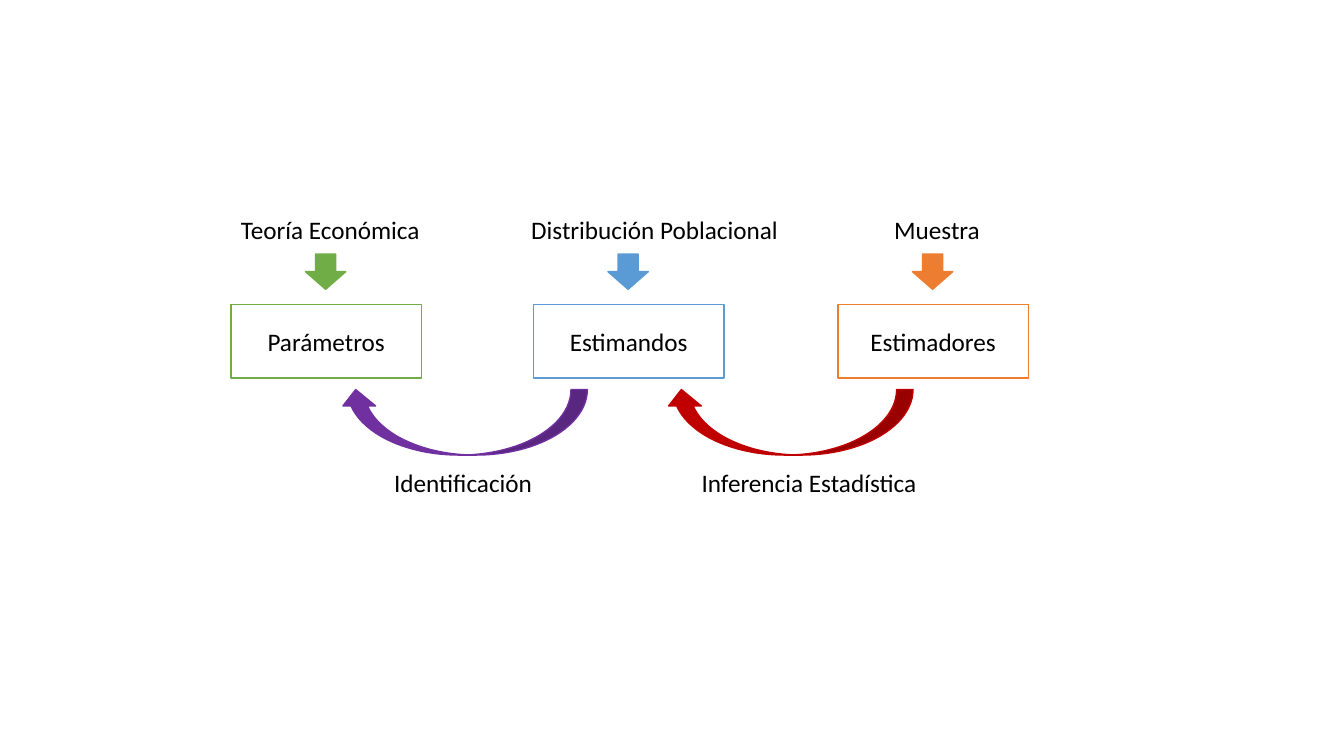
from dataclasses import dataclass

from pptx import Presentation
from pptx.dml.color import RGBColor
from pptx.enum.shapes import MSO_SHAPE
from pptx.enum.text import MSO_ANCHOR, MSO_AUTO_SIZE, PP_ALIGN
from pptx.oxml.ns import qn
from pptx.util import Pt

RECTANGLE = MSO_SHAPE.RECTANGLE
DOWN_ARROW = MSO_SHAPE.DOWN_ARROW
CURVED_ARROW = MSO_SHAPE.CURVED_RIGHT_ARROW
LEFT, CENTER = PP_ALIGN.LEFT, PP_ALIGN.CENTER
MIDDLE = MSO_ANCHOR.MIDDLE
FIT_SHAPE = MSO_AUTO_SIZE.SHAPE_TO_FIT_TEXT

PX = 9144  # 100 px to the inch
SLIDE_W, SLIDE_H = 1333, 750


@dataclass(frozen=True)
class Theme:
    font: str = "Calibri"
    text_size: int = 18
    line_width: int = 1
    text: str = "000000"
    background: str = "FFFFFF"
    theory: str = "70AD47"
    population: str = "5B9BD5"
    sample: str = "ED7D31"
    identification: str = "7030A0"
    inference: str = "C00000"


THEME = Theme()


def emu(*lengths):
    return [length * PX for length in lengths]


def write(frame, text, align=LEFT, size=THEME.text_size, color=THEME.text):
    paragraph = frame.paragraphs[0]
    paragraph.alignment = align
    run = paragraph.add_run()
    run.text = text
    run.font.name = THEME.font
    run.font.size = Pt(size)
    run.font.color.rgb = RGBColor.from_string(color)


def add_label(slide, text, left, top, width):
    label = slide.shapes.add_textbox(*emu(left, top, width, 40))
    label.text_frame.word_wrap = False
    label.text_frame.auto_size = FIT_SHAPE
    write(label.text_frame, text)


def add_figure(slide, preset, box, fill, line):
    figure = slide.shapes.add_shape(preset, *emu(*box))
    figure.shadow.inherit = False
    figure.fill.solid()
    figure.fill.fore_color.rgb = RGBColor.from_string(fill)
    figure.line.color.rgb = RGBColor.from_string(line)
    figure.line.width = Pt(THEME.line_width)
    return figure


def add_concept(slide, box, concept, origin, origin_dx, origin_width, color):
    """Origin label, down arrow and framed concept; box is the frame."""
    left, top, width, height = box

    # Origin of the concept
    add_label(slide, origin, left + origin_dx, top - 94, origin_width)

    # Arrow from origin to concept
    arrow_w, arrow_h = 40, 35
    arrow_left = left + (width - arrow_w) // 2
    add_figure(slide, DOWN_ARROW, (arrow_left, top - 50, arrow_w, arrow_h),
               color, color)

    # Framed concept
    frame = add_figure(slide, RECTANGLE, box, THEME.background, color)
    frame.text_frame.vertical_anchor = MIDDLE
    write(frame.text_frame, concept, align=CENTER)


def add_step_back(slide, box, step, step_dx, step_width, color):
    """Curved arrow to the left with its label; box is the visible arrow."""
    left, top, width, height = box

    # The arrow is turned a quarter, so its sides swap about the same centre
    turned = (left + (width - height) // 2, top + (height - width) // 2,
              height, width)
    arrow = add_figure(slide, CURVED_ARROW, turned, color, color)
    arrow.rotation = 270
    arrow._element.spPr.find(qn("a:xfrm")).set("flipV", "1")

    # Name of the step
    add_label(slide, step, left + step_dx, top + 72, step_width)


def build_inference_slide(slide):
    # Concepts, left to right
    for left, *concept in (
        (229, "Parámetros", "Teoría Económica", 0, 200, THEME.theory),
        (529, "Estimandos", "Distribución Poblacional", -12, 268,
         THEME.population),
        (831, "Estimadores", "Muestra", 46, 106, THEME.sample),
    ):
        add_concept(slide, (left, 302, 189, 73), *concept)

    # Steps back from each concept to the one before
    for left, *step in (
        (337, "Identificación", 44, 159, THEME.identification),
        (660, "Inferencia Estadística", 26, 236, THEME.inference),
    ):
        add_step_back(slide, (left, 387, 246, 65), *step)


def main():
    deck = Presentation()
    deck.slide_width, deck.slide_height = emu(SLIDE_W, SLIDE_H)
    build_inference_slide(deck.slides.add_slide(deck.slide_layouts[6]))
    deck.save("out.pptx")


if __name__ == "__main__":
    main()
